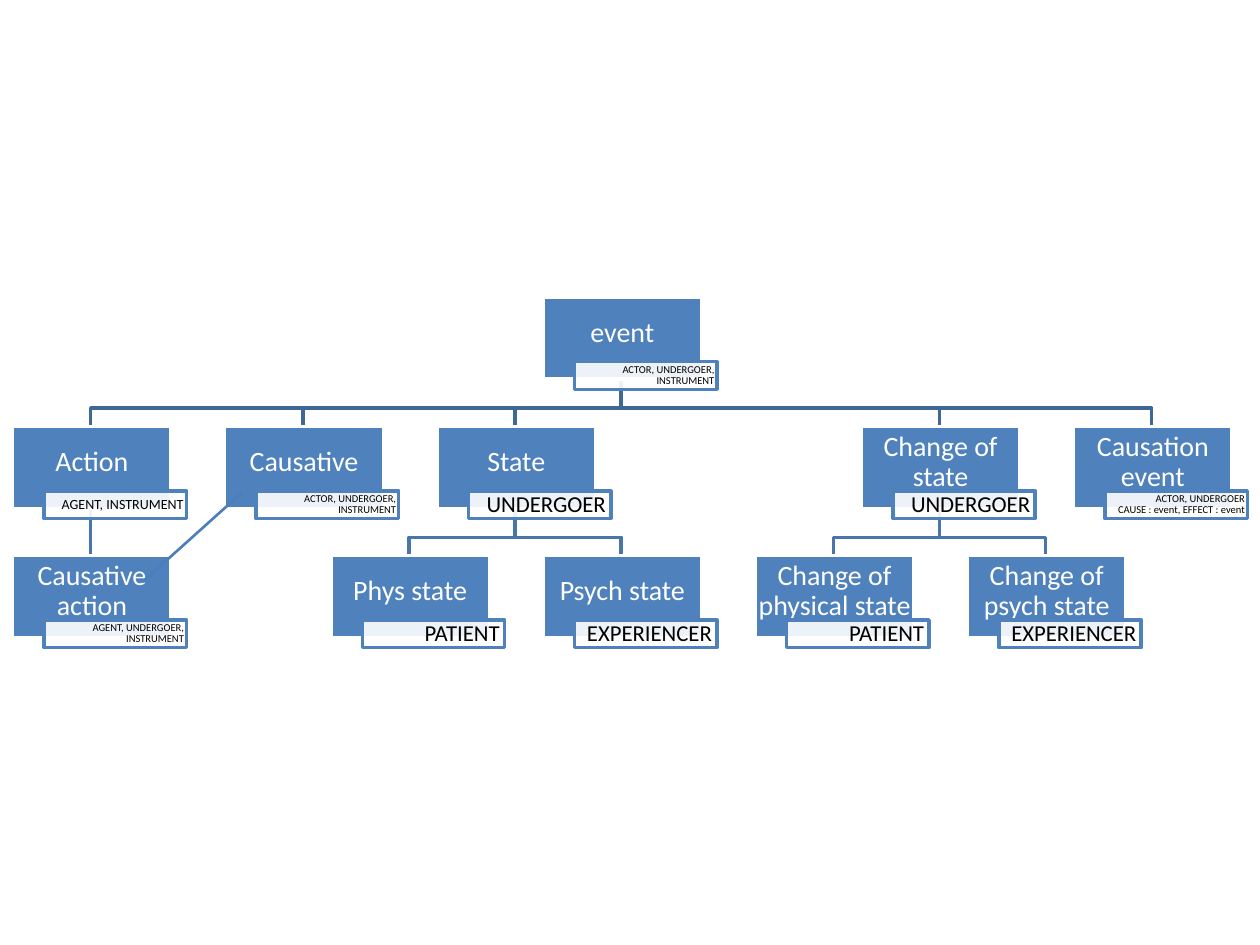
from lxml import etree
from pptx import Presentation
from pptx.dml.color import RGBColor
from pptx.enum.shapes import MSO_CONNECTOR, MSO_SHAPE
from pptx.enum.text import MSO_ANCHOR, PP_ALIGN
from pptx.oxml.ns import qn
from pptx.util import Inches, Pt

RECT, STRAIGHT = MSO_SHAPE.RECTANGLE, MSO_CONNECTOR.STRAIGHT
MIDDLE, CENTER, RIGHT = MSO_ANCHOR.MIDDLE, PP_ALIGN.CENTER, PP_ALIGN.RIGHT
BLUE, WHITE, BLACK = "4F81BD", "FFFFFF", "000000"
LEFT, TOP, COL_STEP, ROW_STEP = 0.1, 2.36, 0.842, 1.025
BOX_W, BOX_H = 1.26, 0.65
ROLE_DX, ROLE_DY, ROLE_W, ROLE_H = 0.25, 0.51, 1.13, 0.22


def rgb(value):
    return RGBColor.from_string(value)


def add_box(x, y, w, h, text, fmt):
    sp = slide.shapes.add_shape(RECT, Inches(x), Inches(y), Inches(w), Inches(h))
    sp.shadow.inherit = False
    sp.fill.solid()
    sp.fill.fore_color.rgb = rgb(fmt["fill"])
    sp.line.color.rgb = rgb(fmt["line"])
    sp.line.width = Pt(2)
    tf = sp.text_frame
    tf.word_wrap = True
    tf.vertical_anchor = MIDDLE
    for side, inset in zip(("left", "top", "right", "bottom"), fmt["insets"]):
        setattr(tf, "margin_" + side, Inches(inset))
    tf.text = text
    for p in tf.paragraphs:
        p.alignment = fmt["align"]
        p.line_spacing = 0.9
        for r in p.runs:
            r.font.name = "Calibri"
            r.font.size = Pt(fmt["size"])
            r.font.color.rgb = rgb(fmt["color"])
    return sp


prs = Presentation()
prs.slide_width, prs.slide_height = Inches(10), Inches(7.5)
slide = prs.slides.add_slide(prs.slide_layouts[6])

# Nodes: name, column, row, roles, role text size
nodes = [
    ("event", 5, 0, "ACTOR, UNDERGOER, INSTRUMENT", 6),
    ("Action", 0, 1, "AGENT, INSTRUMENT", 8),
    ("Causative action", 0, 2, "AGENT, UNDERGOER, INSTRUMENT", 6),
    ("Causative", 2, 1, "ACTOR, UNDERGOER, INSTRUMENT", 6),
    ("State", 4, 1, "UNDERGOER", 13),
    ("Phys state", 3, 2, "PATIENT", 13),
    ("Psych state", 5, 2, "EXPERIENCER", 13),
    ("Change of state", 8, 1, "UNDERGOER", 13),
    ("Change of physical state", 7, 2, "PATIENT", 13),
    ("Change of psych state", 9, 2, "EXPERIENCER", 13),
    ("Causation event", 10, 1, "ACTOR, UNDERGOER\nCAUSE : event, EFFECT : event", 6),
]

# Tree branches: parent column, parent row, child columns, colour
branches = [
    (5, 0, (10, 8, 4, 2, 0), "3F6797"),
    (8, 1, (9, 7), "4875AC"),
    (4, 1, (5, 3), "4875AC"),
    (0, 1, (0,), "4875AC"),
]
lines = []
for parent, row, children, color in branches:
    x0 = Inches(LEFT + COL_STEP * parent + 0.62)
    y0 = Inches(TOP + ROW_STEP * row + BOX_H)
    y_mid, y1 = y0 + Inches(0.23), y0 + Inches(0.38)
    for child in children:
        x1 = Inches(LEFT + COL_STEP * child + 0.62)
        if child == parent:
            sp = slide.shapes.add_connector(STRAIGHT, x0, y0, x1, y1)
        else:
            fb = slide.shapes.build_freeform(x0, y0)
            fb.add_line_segments([(x0, y_mid), (x1, y_mid), (x1, y1)], close=False)
            sp = fb.convert_to_shape()
            sp.shadow.inherit = False
            sp.fill.background()
        lines.append((sp, color, 2))

# Name boxes with role labels
name_fmt = {"fill": BLUE, "line": WHITE, "color": WHITE, "size": 16,
            "align": CENTER, "insets": (0.01, 0.01, 0.01, 0.09)}
for name, col, row, roles, size in nodes:
    x, y = LEFT + COL_STEP * col, TOP + ROW_STEP * row
    add_box(x, y, BOX_W, BOX_H, name, name_fmt)
    side = 0.04 if size > 8 else 0.02
    end = 0.01 if size > 6 else 0
    role_fmt = {"fill": WHITE, "line": BLUE, "color": BLACK, "size": size,
                "align": RIGHT, "insets": (side, end, side, end)}
    sp = add_box(x + ROLE_DX, y + ROLE_DY, ROLE_W, ROLE_H, roles, role_fmt)
    clr = sp.fill._xPr.find(qn("a:solidFill"))[0]
    etree.SubElement(clr, qn("a:alpha")).set("val", "90000")

# Second parent of the causative action
link = slide.shapes.add_connector(STRAIGHT, Inches(1.92), Inches(3.91), Inches(1.13), Inches(4.62))
lines.append((link, "4B7EBC", 1.5))

# Line formats
for sp, color, width in lines:
    sp.line.color.rgb = rgb(color)
    sp.line.width = Pt(width)
    sp_pr = sp._element.spPr
    if sp_pr.find(qn("a:effectLst")) is None:
        etree.SubElement(sp_pr, qn("a:effectLst"))

prs.save("out.pptx")
